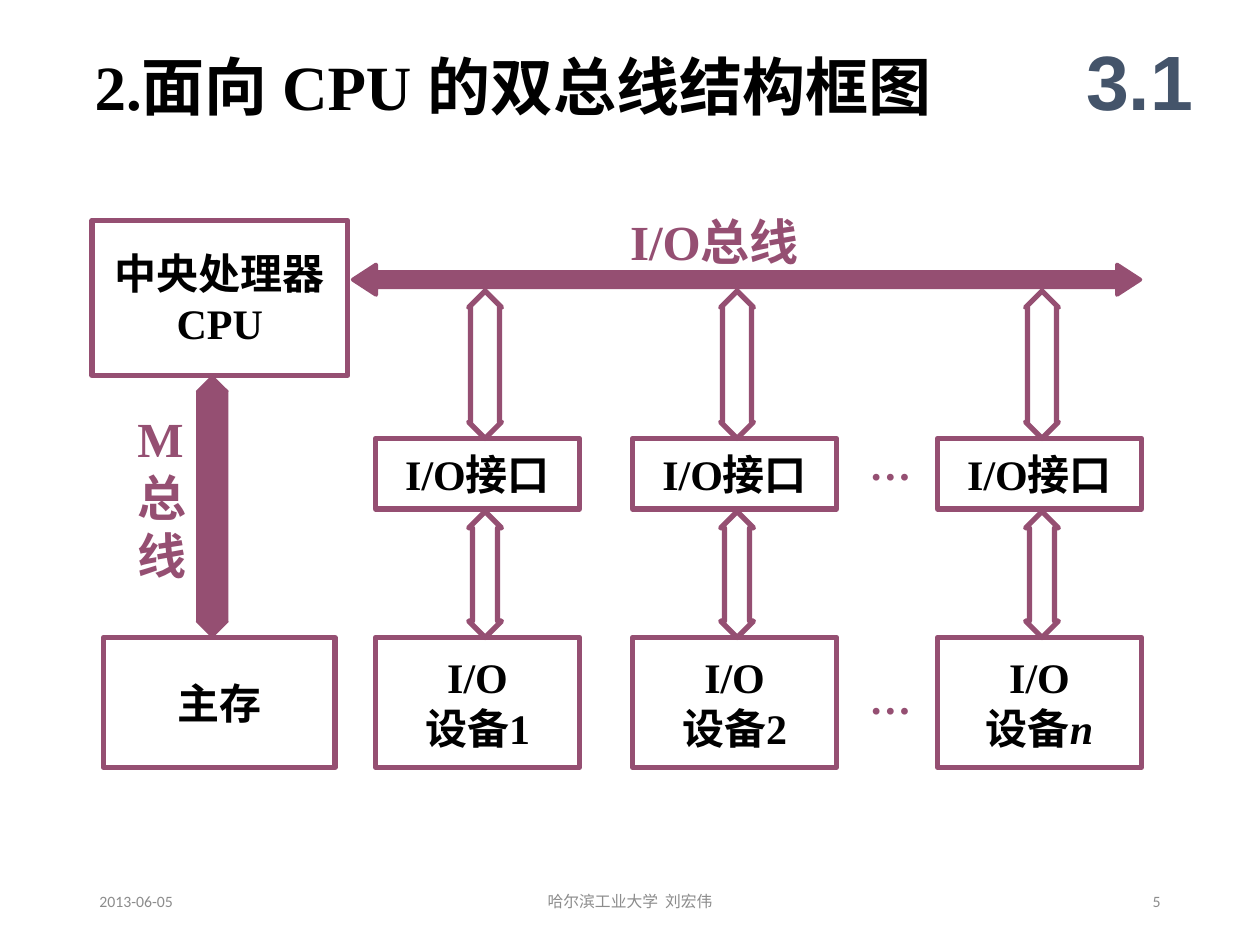
from pptx import Presentation
from pptx.dml.color import RGBColor
from pptx.enum.shapes import MSO_SHAPE
from pptx.enum.text import MSO_ANCHOR, PP_ALIGN
from pptx.util import Inches, Pt
from lxml import etree

RECT, H_ARROW, V_ARROW = (MSO_SHAPE.RECTANGLE, MSO_SHAPE.LEFT_RIGHT_ARROW,
                          MSO_SHAPE.UP_DOWN_ARROW)
LEFT, CENTER, RIGHT = PP_ALIGN.LEFT, PP_ALIGN.CENTER, PP_ALIGN.RIGHT
TOP, MIDDLE = MSO_ANCHOR.TOP, MSO_ANCHOR.MIDDLE
A_NS = "http://schemas.openxmlformats.org/drawingml/2006/main"

SERIF, SANS, FOOT, CJK = "Times New Roman", "Arial", "Calibri", "Noto Sans CJK SC"
BLACK, PLUM, SLATE, GREY = "000000", "954F72", "44546A", "8C8C8C"
THEME = {  # style: font, size, colour, bold
    "title": (SERIF, 36, BLACK, True),
    "section": (SANS, 44, SLATE, True),
    "box": (SERIF, 24, BLACK, True),
    "bus": (SERIF, 28, PLUM, True),
    "dots": (SERIF, 24, PLUM, True),
    "footer": (FOOT, 9, GREY, False),
}

TITLE = "2.面向 CPU 的双总线结构框图"
SECTION = "3.1"
FOOTERS = [("2013-06-05", 0.69, 2.25, LEFT),
           ("哈尔滨工业大学  刘宏伟", 3.31, 3.38, CENTER),
           ("5", 7.06, 2.25, RIGHT)]
CPU = ["中央处理器", "CPU"]
MEMORY = ["主存"]
INTERFACE = ["I/O接口"]
# column left edge, arrow centre, device number, italic number
COLUMNS = [(2.98, 3.85, "1", False), (5.02, 5.85, "2", False), (7.44, 8.27, "n", True)]

COLUMN_W = 1.62
BUS_BOTTOM = 2.31
INTERFACE_TOP, INTERFACE_H = 3.48, 0.56
DEVICE_TOP, DEVICE_H = 5.06, 1.03
ARROW_W = 0.26


def write(sp, lines, style, align=LEFT, anchor=TOP, inset=(0, 0, 0, 0)):
    """Each line is a string or a list of (text, italic) runs."""
    font, size, color, bold = THEME[style]
    tf = sp.text_frame
    frame = dict(zip(("margin_left", "margin_top", "margin_right", "margin_bottom"),
                     map(Inches, inset)))
    frame.update(word_wrap=True, vertical_anchor=anchor)
    for name, value in frame.items():
        setattr(tf, name, value)
    for i, line in enumerate(lines):
        p = tf.add_paragraph() if i else tf.paragraphs[0]
        p.alignment = align
        for text, italic in [(line, False)] if isinstance(line, str) else line:
            r = p.add_run()
            r.text = text
            values = {"name": font, "size": Pt(size), "bold": bold, "italic": italic}
            for name, value in values.items():
                setattr(r.font, name, value)
            r.font.color.rgb = RGBColor.from_string(color)
            ea = etree.SubElement(r.font._element, f"{{{A_NS}}}ea")
            ea.set("typeface", CJK)


def label(s, box, lines, style, **layout):
    write(s.shapes.add_textbox(*map(Inches, box)), lines, style, **layout)


def shape(s, kind, box, weight=3, filled=False, adjust=()):
    sp = s.shapes.add_shape(kind, *map(Inches, box))
    sp.shadow.inherit = False
    if filled:
        sp.fill.solid()
        sp.fill.fore_color.rgb = RGBColor.from_string(PLUM)
    else:
        sp.fill.background()
    sp.line.color.rgb = RGBColor.from_string(PLUM)
    sp.line.width = Pt(weight)
    for i, value in enumerate(adjust):
        sp.adjustments[i] = value
    return sp


def block(s, box, lines):
    write(shape(s, RECT, box), lines, "box", CENTER, MIDDLE)


def link(s, center, top, bottom, head):
    box = (center - ARROW_W / 2, top, ARROW_W, bottom - top)
    shape(s, V_ARROW, box, adjust=(0.5, head / ARROW_W))


def add_heading(s):
    title = s.shapes.title
    title.left, title.top, title.width, title.height = map(Inches, (0.65, 0.33, 6.94, 1.31))
    write(title, [TITLE], "title", inset=(0.1, 0.05, 0.1, 0.05))
    label(s, (8.42, 0.17, 1.25, 0.92), [SECTION], "section",
          align=CENTER, anchor=MIDDLE, inset=(0.1, 0.05, 0.1, 0.05))
    for text, left, width, align in FOOTERS:
        label(s, (left, 6.95, width, 0.4), [text], "footer",
              align=align, anchor=MIDDLE, inset=(0.1, 0.05, 0.1, 0.05))


def add_buses(s):
    block(s, (0.73, 1.75, 2.03, 1.23), CPU)
    label(s, (5, 1.68, 1.98, 0.47), ["I/O总线"], "bus")
    shape(s, H_ARROW, (2.8, 2.1, 6.25, 0.24), 2.25, True, (0.5, 0.77))
    label(s, (1.09, 3.24, 0.47, 1.4), ["M", "总", "线"], "bus")
    shape(s, V_ARROW, (1.56, 2.98, 0.25, 2.08), 0.75, True, (0.5, 0.98))
    block(s, (0.82, DEVICE_TOP, 1.84, DEVICE_H), MEMORY)


def add_devices(s):
    for left, center, number, italic in COLUMNS:
        block(s, (left, INTERFACE_TOP, COLUMN_W, INTERFACE_H), INTERFACE)
        block(s, (left, DEVICE_TOP, COLUMN_W, DEVICE_H),
              ["I/O", [("设备", False), (number, italic)]])
        link(s, center, BUS_BOTTOM, INTERFACE_TOP, 0.23)
        link(s, center, INTERFACE_TOP + INTERFACE_H + 0.02, DEVICE_TOP, 0.2)
    for top in (3.48, 5.34):
        label(s, (6.9, top, 0.41, 0.4), ["…"], "dots")


def main():
    prs = Presentation()
    prs.slide_width, prs.slide_height = Inches(10), Inches(7.5)
    s = prs.slides.add_slide(prs.slide_layouts[5])
    add_heading(s)
    add_buses(s)
    add_devices(s)
    prs.save("out.pptx")


if __name__ == "__main__":
    main()
